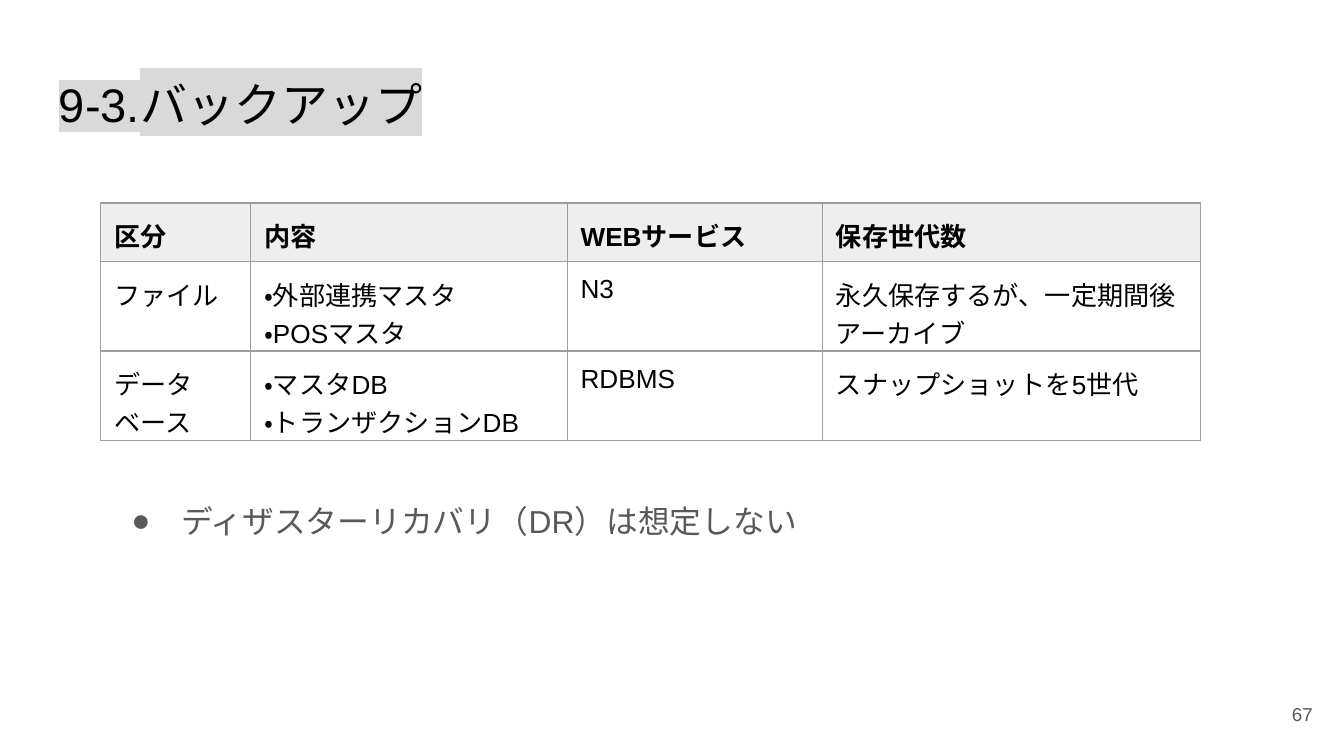
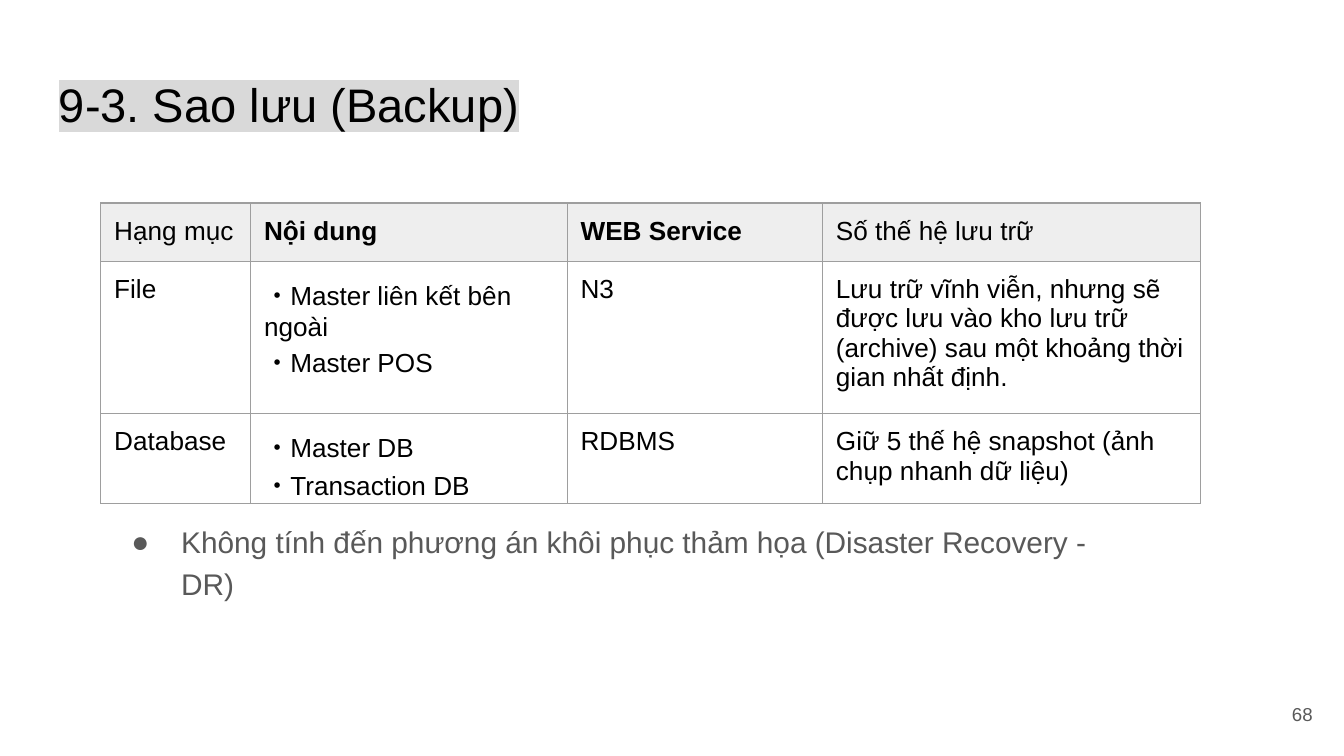
from lxml.etree import SubElement, Element
from pptx import Presentation
from pptx.dml.color import RGBColor
from pptx.enum.lang import MSO_LANGUAGE_ID
from pptx.enum.text import MSO_ANCHOR, PP_ALIGN
from pptx.oxml.ns import qn
from pptx.util import Pt

SCALE = 4572  # EMU per px, 200 px to the inch
FONT = "Arial"
COLORS = {
    "text": "000000",
    "muted": "595959",
    "highlight": "D9D9D9",
    "header": "EEEEEE",
    "border": "9E9E9E",
}
COLUMNS = (223, 471, 380, 562)
ROW_HEIGHT = 83
INSET = 20


def px(n):
    return n * SCALE


def add_color(parent, color):
    SubElement(parent, qn("a:srgbClr"), val=COLORS[color])


class Deck:
    """Holds the shared style and the slide being built."""

    def __init__(self):
        self.prs = Presentation()
        self.prs.slide_width, self.prs.slide_height = px(2000), px(1125)
        self.s = None
        self.language = None

    def new_slide(self, language):
        self.s = self.prs.slides.add_slide(self.prs.slide_layouts[6])
        self.language = language

    def run(self, p, text, size, color="text", bold=False):
        r = p.add_run()
        r.text = text
        r.font.size, r.font.bold = Pt(size), bold
        r.font.color.rgb = RGBColor.from_string(COLORS[color])
        r.font.name = FONT
        r.font.language_id = self.language
        SubElement(p._p, qn("a:endParaRPr"), sz=str(round(size * 100)))
        return r

    def text_box(self, x, y, w, h, anchor=MSO_ANCHOR.TOP):
        """Add an empty text box and return its first paragraph."""
        tf = self.s.shapes.add_textbox(px(x), px(y), px(w), px(h)).text_frame
        tf.word_wrap = True
        tf.vertical_anchor = anchor
        tf.margin_left = tf.margin_right = px(INSET)
        tf.margin_top = tf.margin_bottom = px(INSET)
        return tf.paragraphs[0]

    def title(self, text):
        r = self.run(self.text_box(68, 92, 1864, 126), text, 25.2)
        highlight = Element(qn("a:highlight"))
        add_color(highlight, "highlight")
        r.font._element.find(qn("a:latin")).addprevious(highlight)

    def page_number(self, number):
        p = self.text_box(1853, 1020, 120, 86, MSO_ANCHOR.MIDDLE)
        p.alignment = PP_ALIGN.RIGHT
        self.run(p, str(number), 10, "muted")

    def bullet(self, y, text, size):
        p = self.text_box(150, y, 1490, 282)
        pPr = p._p.get_or_add_pPr()
        pPr.set("marL", str(px(100)))
        pPr.set("indent", str(px(-74)))
        add_color(SubElement(pPr, qn("a:buClr")), "muted")
        SubElement(pPr, qn("a:buFont"), typeface=FONT)
        SubElement(pPr, qn("a:buChar"), char="●")
        p.line_spacing = 1.15
        self.run(p, text, size, "muted")

    def borders(self, cell):
        tcPr = cell._tc.get_or_add_tcPr()
        for i, side in enumerate(("lnL", "lnR", "lnT", "lnB")):
            ln = Element(qn("a:" + side), w=str(Pt(0.75)))
            add_color(SubElement(ln, qn("a:solidFill")), "border")
            tcPr.insert(i, ln)

    def cell(self, cell, text, header, bold):
        cell.margin_left = cell.margin_right = px(INSET)
        cell.margin_top = cell.margin_bottom = px(INSET)
        if header:
            cell.fill.solid()
            cell.fill.fore_color.rgb = RGBColor.from_string(COLORS["header"])
        else:
            cell.fill.background()
        self.borders(cell)
        tf = cell.text_frame
        for i, line in enumerate(text.split("\n")):
            p = tf.add_paragraph() if i else tf.paragraphs[0]
            self.run(p, line, 14, bold=bold)

    def table(self, rows, bold_columns, height):
        """Draw rows under a shaded header, bold in the given columns."""
        frame = self.s.shapes.add_table(
            len(rows), len(COLUMNS), px(150), px(302),
            px(sum(COLUMNS)), px(height))
        table = frame.table
        table.first_row = table.horz_banding = False
        for column, width in zip(table.columns, COLUMNS):
            column.width = px(width)
        for i, row in enumerate(rows):
            table.rows[i].height = px(ROW_HEIGHT)
            for j, text in enumerate(row):
                header = i == 0
                self.cell(table.cell(i, j), text, header,
                          header and j in bold_columns)
        frame.height = px(height)


SLIDES = [
    dict(
        language=MSO_LANGUAGE_ID.JAPANESE,
        title="9-3.バックアップ",
        number=67,
        bold_columns=(0, 1, 2, 3),
        table_height=354,
        rows=[
            ("区分", "内容", "WEBサービス", "保存世代数"),
            ("ファイル", "・外部連携マスタ\n・POSマスタ", "N3",
             "永久保存するが、一定期間後アーカイブ"),
            ("データベース", "・マスタDB\n・トランザクションDB", "RDBMS",
             "スナップショットを5世代"),
        ],
        note=(718, "ディザスターリカバリ（DR）は想定しない", 17),
    ),
    dict(
        language=MSO_LANGUAGE_ID.VIETNAMESE,
        title="9-3. Sao lưu (Backup)",
        number=68,
        bold_columns=(1, 2),
        table_height=446,
        rows=[
            ("Hạng mục", "Nội dung", "WEB Service", "Số thế hệ lưu trữ"),
            ("File", "・Master liên kết bên ngoài\n・Master POS", "N3",
             "Lưu trữ vĩnh viễn, nhưng sẽ được lưu vào kho lưu trữ (archive) "
             "sau một khoảng thời gian nhất định."),
            ("Database", "・Master DB\n・Transaction DB", "RDBMS",
             "Giữ 5 thế hệ snapshot (ảnh chụp nhanh dữ liệu)"),
        ],
        note=(752, "Không tính đến phương án khôi phục thảm họa "
                   "(Disaster Recovery - DR)", 16),
    ),
]


def main():
    deck = Deck()
    for content in SLIDES:
        deck.new_slide(content["language"])
        deck.title(content["title"])
        deck.page_number(content["number"])
        deck.table(content["rows"], content["bold_columns"],
                   content["table_height"])
        deck.bullet(*content["note"])
    deck.prs.save("out.pptx")


if __name__ == "__main__":
    main()
